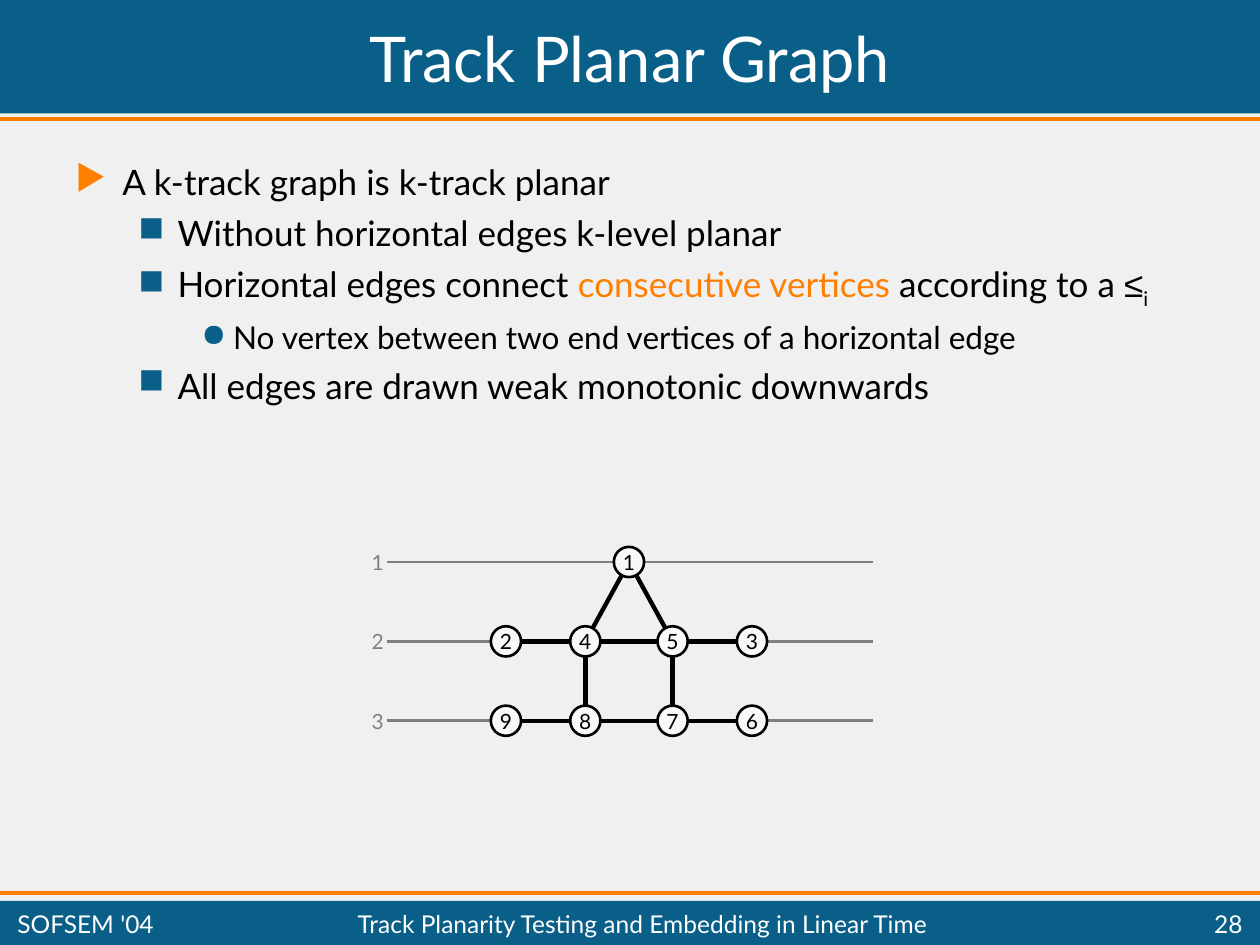
from lxml import etree
from pptx import Presentation
from pptx.dml.color import RGBColor
from pptx.enum.shapes import MSO_CONNECTOR, MSO_SHAPE
from pptx.enum.text import MSO_ANCHOR as ANCHOR, PP_ALIGN as ALIGN
from pptx.oxml.ns import qn
from pptx.util import Cm, Pt

BLUE = RGBColor(0x0A, 0x5F, 0x89)
ORANGE = RGBColor(0xFF, 0x7F, 0x00)
BACKGROUND = RGBColor(0xF0, 0xF0, 0xF0)
VERTEX_FILL = RGBColor(0xF8, 0xF8, 0xF8)
GREY = RGBColor(0x80, 0x80, 0x80)
BLACK = RGBColor(0, 0, 0)
WHITE = RGBColor(0xFF, 0xFF, 0xFF)
WIDTH, HEIGHT = 25.4, 19.05

prs = Presentation()
prs.slide_width, prs.slide_height = Cm(WIDTH), Cm(HEIGHT)
slide = prs.slides.add_slide(prs.slide_layouts[6])
slide.background.fill.solid()
slide.background.fill.fore_color.rgb = BACKGROUND
shapes = slide.shapes


def add_line(start, end, color, weight):
    line = shapes.add_connector(MSO_CONNECTOR.STRAIGHT, *map(Cm, start + end))
    line.line.color.rgb = color
    line.line.width = Pt(weight)
    etree.SubElement(line._element.spPr, qn("a:effectLst"))


def write(shape, text, size, color, align, wrap=True):
    """Put one vertically centred line of text into a shape."""
    frame = shape.text_frame
    frame.word_wrap = wrap
    frame.vertical_anchor = ANCHOR.MIDDLE
    paragraph = frame.paragraphs[0]
    paragraph.text = text
    paragraph.alignment = align
    paragraph.font.name = "Lato"
    paragraph.font.size = Pt(size)
    paragraph.font.color.rgb = color


# Header and footer bands with their rules
for top, height, rule_y in [(0, 2.29, 2.39), (18.16, 0.89, 18.01)]:
    band = shapes.add_shape(MSO_SHAPE.RECTANGLE, 0, Cm(top), Cm(WIDTH), Cm(height))
    band.shadow.inherit = False
    band.fill.solid()
    band.fill.fore_color.rgb = BLUE
    band.line.fill.background()
    add_line((0, rule_y), (WIDTH, rule_y), ORANGE, 2.25)

for text, left, top, width, height, size, align in [
    ("Track Planar Graph", 0.1, 0.1, 25.2, 2.1, 36, ALIGN.CENTER),
    ("SOFSEM '04", 0.1, 18.26, 3.66, 0.71, 14, ALIGN.LEFT),
    ("Track Planarity Testing and Embedding in Linear Time",
     3.81, 18.26, 18.29, 0.71, 14, ALIGN.CENTER),
    ("28", 22.3, 18.26, 3, 0.71, 14, ALIGN.RIGHT),
]:
    box = shapes.add_textbox(Cm(left), Cm(top), Cm(width), Cm(height))
    write(box, text, size, WHITE, align)

# Bullet list: per level the bullet, its colour, margin, hanging, size, space before
LEVELS = [
    ("▶", ORANGE, 0.95, 0.95, 20, 0),
    ("■", BLUE, 2.06, 0.79, 20, 5),
    ("●", BLUE, 3.18, 0.64, 18, 4.5),
]
STATEMENTS = [
    (0, ["A k-track graph is k-track planar"]),
    (1, ["Without horizontal edges k-level planar"]),
    (1, ["Horizontal edges connect ", "consecutive vertices", " according to a ", "≤", "i"]),
    (2, ["No vertex between two end vertices of a horizontal edge"]),
    (1, ["All edges are drawn weak monotonic downwards"]),
]
body = shapes.add_textbox(Cm(1.27), Cm(3.12), Cm(22.83), Cm(6.02)).text_frame
body.word_wrap = True
for index, (level, parts) in enumerate(STATEMENTS):
    bullet, bullet_color, margin, hanging, size, space = LEVELS[level]
    paragraph = body.add_paragraph() if index else body.paragraphs[0]
    paragraph.level = level
    paragraph.space_before = Pt(space)
    properties = paragraph._p.get_or_add_pPr()
    properties.set("marL", str(Cm(margin)))
    properties.set("indent", str(-Cm(hanging)))
    tint = etree.SubElement(properties, qn("a:buClr"))
    etree.SubElement(tint, qn("a:srgbClr"), val=str(bullet_color))
    etree.SubElement(properties, qn("a:buChar"), char=bullet)
    paragraph.font.name = "Lato"
    paragraph.font.size = Pt(size)
    paragraph.font.color.rgb = BLACK
    for part in parts:
        run = paragraph.add_run()
        run.text = part
        if part == "consecutive vertices":
            run.font.color.rgb = ORANGE
        elif part == "≤":
            run.font.name = "Arial"
        elif part == "i":
            run._r.get_or_add_rPr().set("baseline", "-25000")

# Track graph
DIAMETER = 0.61
TRACKS = [11.33 + 1.6 * i for i in range(3)]
COLUMNS = [10.2, 11.8, 13.56, 15.16]
VERTICES = {"1": (12.68, TRACKS[0])}
for names, y in zip(["2453", "9876"], TRACKS[1:]):
    VERTICES.update({name: (x, y) for name, x in zip(names, COLUMNS)})
EDGES = ["14", "15", "24", "45", "53", "98", "87", "76", "48", "57"]

for number, y in enumerate(TRACKS, start=1):
    add_line((7.8, y), (17.6, y), GREY, 1.5)
    label = shapes.add_textbox(Cm(7.24), Cm(y - 0.38), Cm(0.74), Cm(0.76))
    write(label, str(number), 12, GREY, ALIGN.LEFT, wrap=False)

for upper, lower in EDGES:
    add_line(VERTICES[upper], VERTICES[lower], BLACK, 2.5)

for name, (x, y) in VERTICES.items():
    vertex = shapes.add_shape(MSO_SHAPE.OVAL, Cm(x - DIAMETER / 2), Cm(y - DIAMETER / 2),
                              Cm(DIAMETER), Cm(DIAMETER))
    vertex.shadow.inherit = False
    vertex.fill.solid()
    vertex.fill.fore_color.rgb = VERTEX_FILL
    vertex.line.color.rgb = BLACK
    vertex.line.width = Pt(1.5)
    write(vertex, name, 12, BLACK, ALIGN.CENTER, wrap=False)

prs.save("out.pptx")
